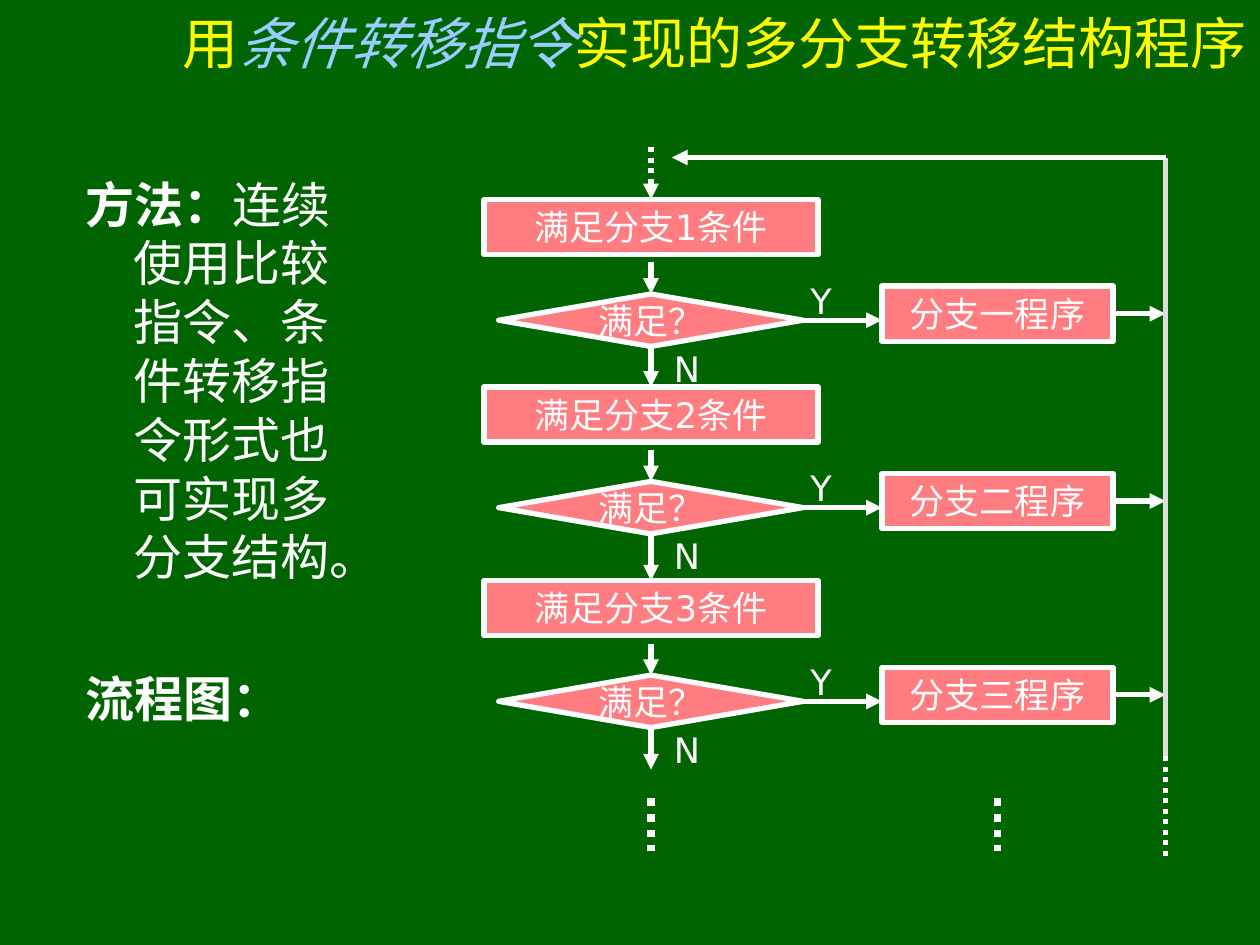
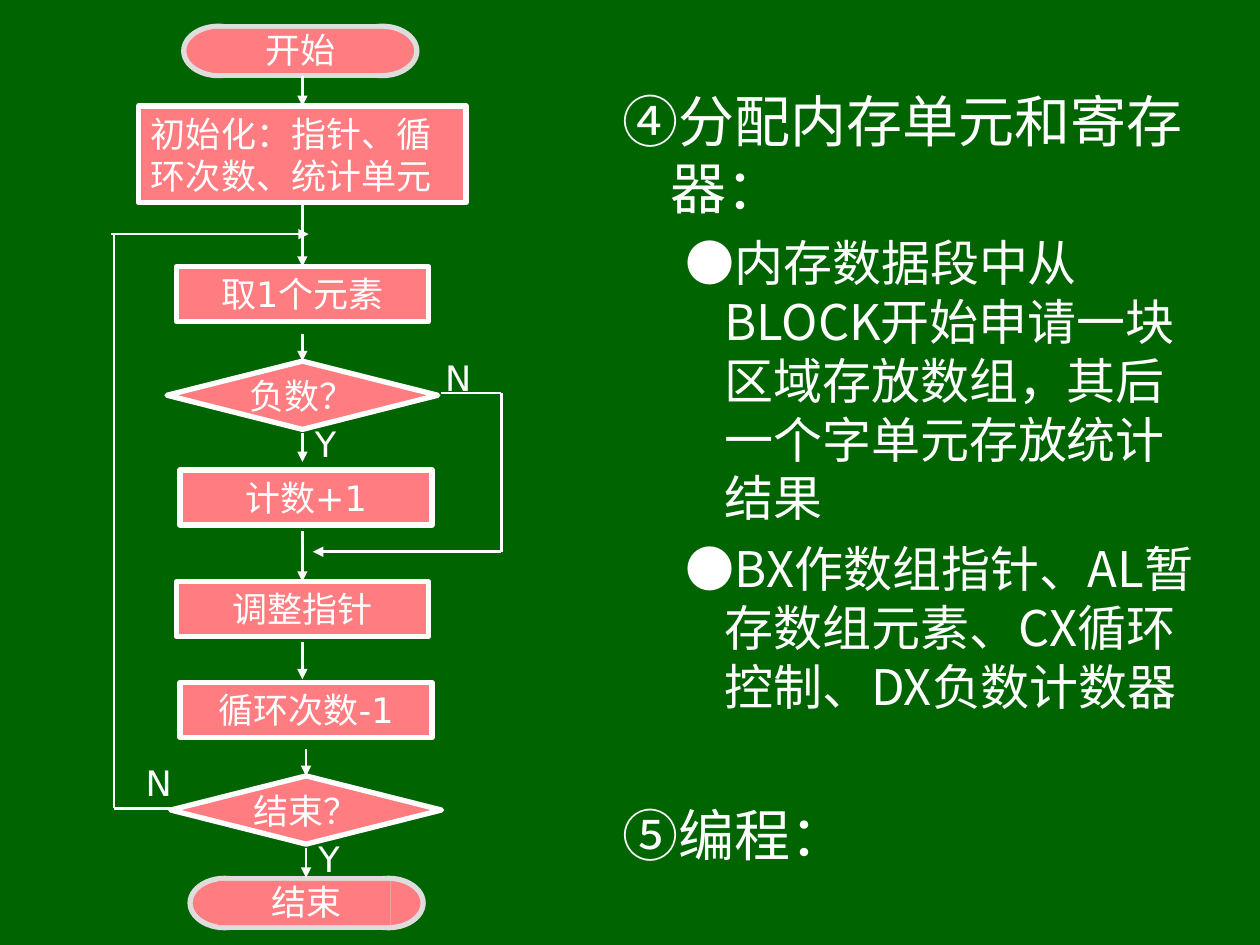
"""Build two slides on branching and looping programs with their flow charts."""
from lxml.etree import SubElement
from pptx import Presentation
from pptx.dml.color import RGBColor
from pptx.enum.dml import MSO_LINE
from pptx.enum.shapes import MSO_CONNECTOR, MSO_SHAPE
from pptx.enum.text import MSO_ANCHOR, PP_ALIGN
from pptx.oxml.ns import qn
from pptx.util import Inches, Pt

COLORS = {"board": "006400", "box": "FF7C80", "chalk": "FFFFFF", "gray": "DDDDDD",
          "title": "FFFF00", "accent": "99CCFF"}
COLUMNS, ROWS = 120, 90
TOP, LEFT, BOTTOM, RIGHT = range(4)
SANS, CJK = "DejaVu Sans", "Noto Sans CJK SC"
MARGINS = {"margin_left": Inches(0.1), "margin_right": Inches(0.1),
           "margin_top": Inches(0.05), "margin_bottom": Inches(0.05)}
TIGHT = {"margin_left": Inches(0.06), "margin_right": Inches(0.02),
         "margin_top": 0, "margin_bottom": Inches(0.01)}
MIDDLE = {"vertical_anchor": MSO_ANCHOR.MIDDLE}

BOXES = {
    "text": (None, None, None, {}),
    "title": (None, None, None, MIDDLE),
    "process": (MSO_SHAPE.RECTANGLE, "box", "chalk", {}),
    "decision": (MSO_SHAPE.FLOWCHART_DECISION, "box", "chalk", {**MIDDLE, "word_wrap": False}),
    "cap": (MSO_SHAPE.OVAL, "box", "gray", {}),
    "core": (MSO_SHAPE.RECTANGLE, "box", "gray", {}),
    "face": (MSO_SHAPE.RECTANGLE, "box", None, TIGHT),
}
PARAGRAPHS = {
    "title": (32, SANS, 0, 0, {"alignment": PP_ALIGN.RIGHT}),
    "label": (20, SANS, 0, 0, {"alignment": PP_ALIGN.CENTER}),
    "note": (20, SANS, 0, 0, {"alignment": PP_ALIGN.LEFT}),
    "method": (28, SANS, 0.38, -0.38, {}),
    "chart": (28, SANS, 0.38, -0.38, {"space_before": Pt(47.5)}),
    "heading": (32, CJK, 0.38, -0.38, {}),
    "detail": (28, CJK, 0.81, -0.31, {"level": 1, "space_before": Pt(7)}),
    "closing": (32, CJK, 0.38, -0.38, {"space_before": Pt(48.5)}),
}
LINES = {
    "plain": ("chalk", 1.5, None, False),
    "arrow": ("chalk", 1.5, None, True),
    "thick": ("chalk", 3, None, True),
    "dotted arrow": ("chalk", 3, MSO_LINE.ROUND_DOT, True),
    "rail": ("gray", 3, None, False),
    "dotted rail": ("chalk", 3, MSO_LINE.ROUND_DOT, False),
    "dots": ("chalk", 4.5, MSO_LINE.ROUND_DOT, False),
}

presentation = Presentation()
presentation.slide_width, presentation.slide_height = Inches(10), Inches(7.5)
column = presentation.slide_width / COLUMNS
row = presentation.slide_height / ROWS


def add_box(shapes, style, frame, *paragraphs):
    preset, fill, line, frame_format = BOXES[style]
    left, top, width, height = frame
    place = [round(length) for length in (left * column, top * row, width * column, height * row)]
    shape = shapes.add_shape(preset, *place) if preset else shapes.add_textbox(*place)
    if preset:
        shape.shadow.inherit = False
        shape.fill.solid()
        shape.fill.fore_color.rgb = RGBColor.from_string(COLORS[fill])
        shape.line.fill.background()
    if line:
        shape.line.color.rgb = RGBColor.from_string(COLORS[line])
        shape.line.width = Pt(3)
    text_frame = shape.text_frame
    frame_values = {"word_wrap": True, "vertical_anchor": MSO_ANCHOR.TOP, **MARGINS, **frame_format}
    for name, value in frame_values.items():
        setattr(text_frame, name, value)
    for index, (kind, *runs) in enumerate(paragraphs):
        paragraph = text_frame.add_paragraph() if index else text_frame.paragraphs[0]
        size, typeface, margin, indent, values = PARAGRAPHS[kind]
        properties = paragraph._p.get_or_add_pPr()
        properties.set("marL", str(Inches(margin)))
        properties.set("indent", str(Inches(indent)))
        for name, value in {"line_spacing": Pt(size * 1.2), **values}.items():
            setattr(paragraph, name, value)
        for text, color, changes in runs:
            run = paragraph.add_run()
            run.text = text
            run.font.color.rgb = RGBColor.from_string(COLORS[color])
            for name, value in {"size": Pt(size), "name": typeface, **changes}.items():
                setattr(run.font, name, value)
            SubElement(run._r.get_or_add_rPr(), qn("a:ea"), typeface=typeface)
    return shape


def add_line(shapes, style, points, begin=None, end=None):
    color, width, dash, arrow = LINES[style]
    x1, y1, x2, y2 = points
    connector = shapes.add_connector(MSO_CONNECTOR.STRAIGHT, round(x1 * column), round(y1 * row),
                                     round(x2 * column), round(y2 * row))
    if begin:
        connector.begin_connect(*begin)
    if end:
        connector.end_connect(*end)
    connector.line.color.rgb = RGBColor.from_string(COLORS[color])
    connector.line.width = Pt(width)
    if dash:
        connector.line.dash_style = dash
    if arrow:
        SubElement(connector.get_or_add_ln(), qn("a:tailEnd"), type="triangle")
    SubElement(connector._element.spPr, qn("a:effectLst"))


slides = []
for number in range(2):
    slide = presentation.slides.add_slide(presentation.slide_layouts[6])
    slide.background.fill.solid()
    slide.background.fill.fore_color.rgb = RGBColor.from_string(COLORS["board"])
    slides.append(slide)

branch = slides[0].shapes
add_box(branch, "title", (12, 0, 108, 8),
        ("title", ("用", "title", {}), ("条件转移指令", "accent", {"italic": True}),
         ("实现的多分支转移结构程序", "title", {})))
add_box(branch, "text", (7, 16, 29, 61),
        ("method", ("方法：", "chalk", {"bold": True}),
         ("连续使用比较指令、条件转移指令形式也可实现多分支结构。", "chalk", {})),
        ("chart", ("流程图：", "chalk", {"bold": True})))

flow, rail = 62, 111
step_tops = (19, 36.85, 55.3)
steps = [add_box(branch, "process", (flow - 15.9, top, 31.8, 5.25),
                 ("label", (f"满足分支{order}条件", "chalk", {})))
         for order, top in enumerate(step_tops, 1)]
add_line(branch, "dotted arrow", (flow, 14, flow, 19), end=(steps[0], TOP))
for index, (top, order) in enumerate(zip(step_tops, "一二三")):
    decision = add_box(branch, "decision", (flow - 14.5, top + 9, 29, 5),
                       ("label", ("满足？", "chalk", {})))
    program = add_box(branch, "process", (84, top + 8.25, 22, 5.25),
                      ("label", (f"分支{order}程序", "chalk", {})))
    following = (steps[index + 1], TOP) if index < 2 else None
    add_line(branch, "thick", (flow, top + 6, flow, top + 9), end=(decision, TOP))
    add_line(branch, "thick", (flow, top + 14, flow, top + 18), (decision, BOTTOM), following)
    add_line(branch, "thick", (77, top + 11.5, 84, top + 11.5), (decision, RIGHT))
    exit_row = top + 8.25 + 5.25 / 2
    add_line(branch, "thick", (106, exit_row, rail, exit_row), (program, RIGHT))
    for letter, left, offset in (("N", 63, 13.5), ("Y", 76, 7)):
        add_box(branch, "text", (left, top + offset, 5, 5.25), ("note", (letter, "chalk", {})))
for style, points in (
        ("rail", (rail, 72, rail, 15)), ("thick", (rail, 15, 64, 15)),
        ("dots", (flow, 76, flow, 81)), ("dots", (95, 76, 95, 81)),
        ("dotted rail", (rail, 72, rail, 82))):
    add_line(branch, style, points)

loop = slides[1].shapes
add_box(loop, "text", (58.1, 7.6, 56.8, 81),
        ("heading", ("④分配内存单元和寄存器：", "chalk", {})),
        ("detail", ("●内存数据段中从BLOCK开始申请一块区域存放数组，其后一个字单元存放统计结果",
                    "chalk", {})),
        ("detail", ("●BX作数组指针、AL暂存数组元素、CX循环控制、DX负数计数器", "chalk", {})),
        ("closing", ("⑤编程：", "chalk", {})))

for text, left, top in (("开始", 17.5, 2.5), ("结束", 18.1, 83.65)):
    terminal = loop.add_group_shape().shapes
    for style, offset, width in (("cap", 0, 6.6), ("cap", 15.6, 6.6), ("core", 3.25, 15.6)):
        add_box(terminal, style, (left + offset, top, width, 4.7))
    add_box(terminal, "face", (left + 2.65, top + 0.25, 16.45, 4.2),
            ("label", (text, "chalk", {})))

flow, final = 28.8, 29.15
boxes = {}
for text, style, kind, center, top, width, height in (
        ("初始化：指针、循环次数、统计单元", "process", "note", flow, 10.1, 31.2, 9.2),
        ("取1个元素", "process", "label", flow, 25.4, 24, 5.25),
        ("负数？", "decision", "label", flow, 34.4, 25.8, 6.5),
        ("计数+1", "process", "label", final, 44.75, 24, 5.25),
        ("调整指针", "process", "label", flow, 55.4, 24, 5.25),
        ("循环次数-1", "process", "label", final, 65, 24, 5.25),
        ("结束？", "decision", "label", final, 73.9, 25.8, 6.5)):
    boxes[text] = add_box(loop, style, (center - width / 2, top, width, height),
                          (kind, (text, "chalk", {})))

setup = boxes["初始化：指针、循环次数、统计单元"]
for center, start, finish, begin, end in (
        (flow, 7.2, 10.1, None, (setup, TOP)),
        (flow, 19.3, 25.4, (setup, BOTTOM), (boxes["取1个元素"], TOP)),
        (flow, 31.8, 34.4, None, (boxes["负数？"], TOP)),
        (flow, 41.25, 44, None, None),
        (flow, 50.6, 55.4, None, (boxes["调整指针"], TOP)),
        (flow, 61.1, 64.7, None, None),
        (final, 71.3, 73.9, None, (boxes["结束？"], TOP)),
        (final, 80.8, 83.6, None, None)):
    add_line(loop, "arrow", (center, start, center, finish), begin, end)

bypass, back = 47.75, 10.85
for style, points in (
        ("plain", (42, 37.45, bypass, 37.45)), ("plain", (bypass, 37.45, bypass, 52.55)),
        ("arrow", (bypass, 52.55, 29.8, 52.55)),
        ("plain", (16.6, 77, back, 77)), ("plain", (back, 77, back, 22.3)),
        ("arrow", (10.6, 22.3, 29.4, 22.3))):
    add_line(loop, style, points)
for letter, left, top in (("Y", flow, 39.6), ("N", 41.2, 33.4), ("Y", final, 79.2), ("N", 12.7, 71.9)):
    add_box(loop, "text", (left, top, 5.6, 5.25), ("note", (letter, "chalk", {})))

presentation.save("out.pptx")
